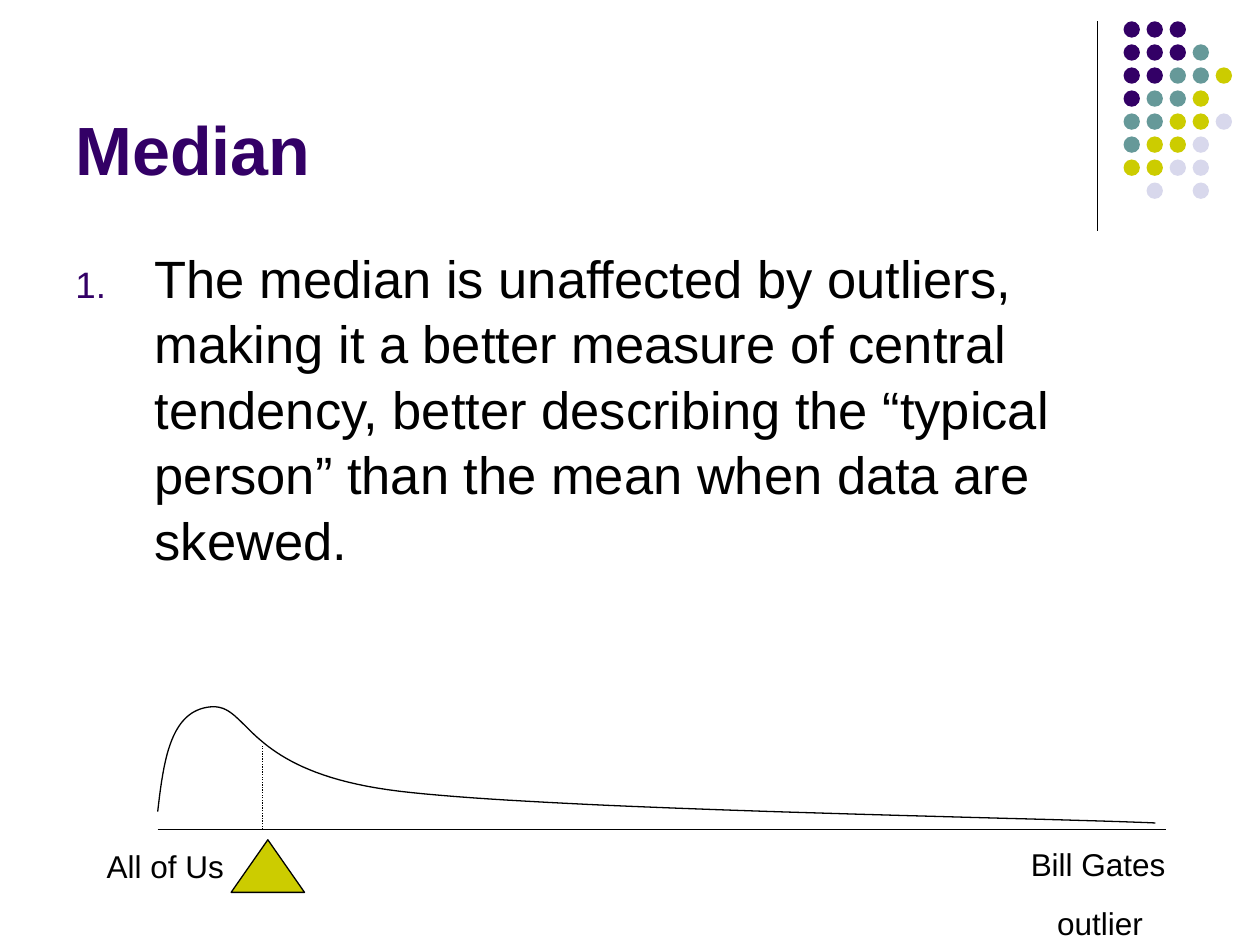
from dataclasses import dataclass

from lxml.etree import SubElement
from pptx import Presentation
from pptx.dml.color import RGBColor
from pptx.enum.dml import MSO_LINE_DASH_STYLE as Dash
from pptx.enum.shapes import MSO_CONNECTOR_TYPE as Connector, MSO_SHAPE as Preset
from pptx.enum.text import MSO_ANCHOR as Anchor
from pptx.oxml.ns import qn
from pptx.util import Cm, Pt


@dataclass(frozen=True)
class Theme:
    font: str = "Arial"
    ink: str = "000000"
    purple: str = "330066"
    teal: str = "669999"
    olive: str = "CCCC00"
    lavender: str = "D8D8EC"
    title_size: int = 39
    body_size: int = 30
    label_size: int = 18
    line_width: float = 0.75
    line_spacing: float = 1.04


THEME = Theme()
DOT_COLORS = {"P": THEME.purple, "T": THEME.teal, "O": THEME.olive, "L": THEME.lavender}
DOT_ROWS = ["PPP", "PPPT", "PPTTO", "PTTO", "TTOOL", "TOOL", "OOLL", " L L"]
CURVE_START = (3.18, 16.36)
CURVE_SEGMENTS = [
    ((3.3, 15.34), (3.43, 14.33), (4.24, 14.25)),
    ((5.05, 14.17), (4.88, 15.57), (8.05, 15.95)),
    ((11.23, 16.33), (20.75, 16.48), (23.29, 16.59)),
]
CURVE_STEPS = 40
BODY = (
    "The median is unaffected by outliers, making it a better measure of central "
    "tendency, better describing the “typical person” than the mean when data are skewed."
)


def apply_format(target, values):
    for name, value in values.items():
        setattr(target, name, value)


def style_line(line):
    line.color.rgb = RGBColor.from_string(THEME.ink)
    line.width = Pt(THEME.line_width)


def add_line(slide, start, end, dash=None):
    connector = slide.shapes.add_connector(
        Connector.STRAIGHT, *(Cm(value) for value in (*start, *end))
    )
    style_line(connector.line)
    if dash:
        connector.line.dash_style = dash
    SubElement(connector._element.spPr, qn("a:effectLst"))


def add_filled_shape(shapes, preset, box, color, outlined=False):
    shape = shapes.add_shape(preset, *(Cm(value) for value in box))
    shape.shadow.inherit = False
    shape.fill.solid()
    shape.fill.fore_color.rgb = RGBColor.from_string(color)
    if outlined:
        style_line(shape.line)
    else:
        shape.line.fill.background()


def add_dots(slide):
    left, top, diameter, pitch = 22.65, 0.43, 0.33, 3.25 / 7
    group = slide.shapes.add_group_shape()
    for row, letters in enumerate(DOT_ROWS):
        for column, letter in enumerate(letters):
            if letter in DOT_COLORS:
                box = (left + column * pitch, top + row * pitch, diameter, diameter)
                add_filled_shape(group.shapes, Preset.OVAL, box, DOT_COLORS[letter])


def add_text(slide, box, lines, size, color=THEME.ink, bold=False, before=0, anchor=Anchor.TOP):
    frame = slide.shapes.add_textbox(*(Cm(value) for value in box)).text_frame
    apply_format(frame, {"word_wrap": True, "vertical_anchor": anchor})
    frame.text = "\n".join(lines)
    for paragraph in frame.paragraphs:
        apply_format(paragraph, {"space_before": Pt(before), "line_spacing": THEME.line_spacing})
        apply_format(paragraph.font, {"name": THEME.font, "size": Pt(size), "bold": bold})
        paragraph.font.color.rgb = RGBColor.from_string(color)
        for run in paragraph.runs:
            apply_format(run.font, {"name": THEME.font, "size": Pt(size), "bold": bold})
            run.font.color.rgb = RGBColor.from_string(color)
    return frame.paragraphs


def indent(paragraph, margin, first_line=0):
    properties = paragraph._p.get_or_add_pPr()
    properties.set("marL", str(Cm(margin)))
    properties.set("indent", str(Cm(first_line)))
    return properties


def add_number(paragraph):
    properties = indent(paragraph, 1.6, -1.6)
    marks = [
        ("buClr", {}),
        ("buSzPct", {"val": "70000"}),
        ("buFont", {"typeface": THEME.font}),
        ("buAutoNum", {"type": "arabicPeriod"}),
    ]
    position = properties.index(properties.find(qn("a:spcBef"))) + 1
    for offset, (tag, attributes) in enumerate(marks):
        mark = SubElement(properties, qn(f"a:{tag}"), attributes)
        if tag == "buClr":
            SubElement(mark, qn("a:srgbClr"), {"val": THEME.purple})
        properties.insert(position + offset, mark)


def bezier_point(points, t):
    weights = ((1 - t) ** 3, 3 * t * (1 - t) ** 2, 3 * t**2 * (1 - t), t**3)
    return tuple(
        Cm(sum(weight * point[axis] for weight, point in zip(weights, points)))
        for axis in (0, 1)
    )


def add_curve(slide):
    start, vertices = CURVE_START, []
    for segment in CURVE_SEGMENTS:
        points = (start, *segment)
        vertices += [bezier_point(points, step / CURVE_STEPS) for step in range(1, CURVE_STEPS + 1)]
        start = segment[-1]
    builder = slide.shapes.build_freeform(*(Cm(value) for value in CURVE_START))
    builder.add_line_segments(vertices, close=False)
    curve = builder.convert_to_shape()
    curve.shadow.inherit = False
    curve.fill.background()
    style_line(curve.line)


def main():
    presentation = Presentation()
    apply_format(presentation, {"slide_width": Cm(25.4), "slide_height": Cm(19.05)})
    slide = presentation.slides.add_slide(presentation.slide_layouts[6])

    add_line(slide, (22.12, 0.43), (22.12, 4.65))
    add_dots(slide)
    add_text(slide, (1.27, 0.33, 20.96, 3.6), ["Median"], THEME.title_size,
             color=THEME.purple, bold=True, anchor=Anchor.BOTTOM)
    body = add_text(slide, (1.27, 4.78, 22.86, 12.24), [BODY], THEME.body_size, before=7.5)
    add_number(body[0])

    add_curve(slide)
    add_line(slide, (3.18, 16.72), (23.5, 16.72))
    add_filled_shape(slide.shapes, Preset.ISOSCELES_TRIANGLE, (4.66, 16.93, 1.48, 1.06),
                     THEME.olive, outlined=True)
    add_text(slide, (1.9, 16.93, 4.45, 1.02), ["All of Us"], THEME.label_size, before=11.2)
    outlier = add_text(slide, (20.53, 16.88, 3.81, 2.18), ["Bill Gates", "outlier"],
                       THEME.label_size, before=11.2)
    indent(outlier[1], 0.53)
    add_line(slide, (5.29, 16.72), (5.29, 15.04), Dash.ROUND_DOT)

    presentation.save("out.pptx")


if __name__ == "__main__":
    main()
